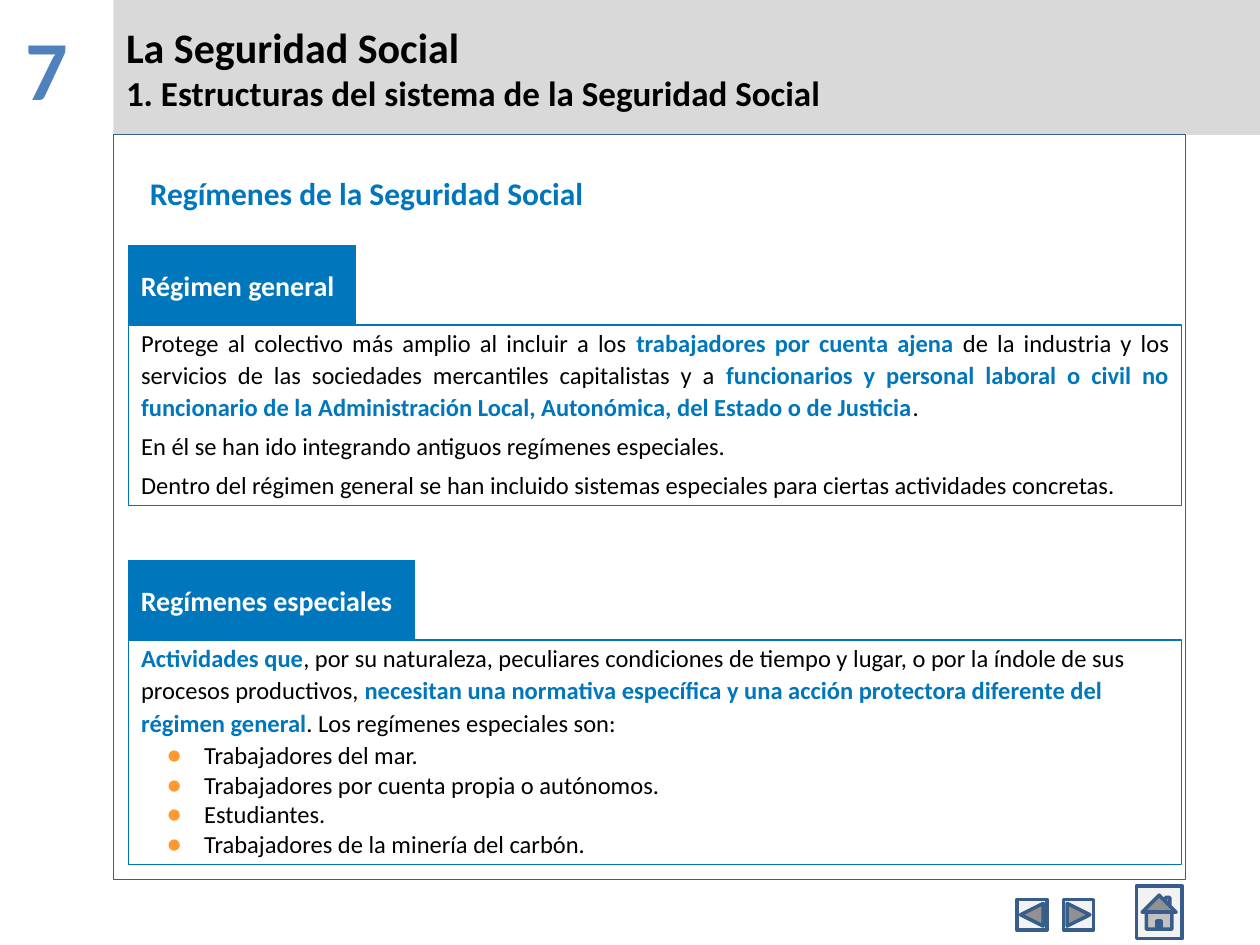
from dataclasses import dataclass

from lxml import etree
from pptx import Presentation
from pptx import util as u
from pptx.dml.color import RGBColor
from pptx.enum import shapes, text
from pptx.oxml import ns


@dataclass(frozen=True)
class Theme:
    font: str = "Calibri"
    black: str = "000000"
    white: str = "FFFFFF"
    blue: str = "0077BD"
    number: str = "4F81BD"
    band: str = "D9D9D9"
    outline: str = "385D8A"
    button: str = "F2F2F2"
    bullet: str = "FF9933"
    number_size: int = 48
    title_size: int = 24
    subtitle_size: int = 20
    heading_size: int = 18
    tab_size: int = 16
    body_size: int = 14


THEME = Theme()
TWO_CONTENT = 3
TAB_HEIGHT = 0.63

# Each paragraph is a list of (wording, highlighted) spans
GENERAL = [
    [("Protege al colectivo más amplio al incluir a los ", False),
     ("trabajadores por cuenta ajena", True),
     (" de la industria y los servicios de las sociedades mercantiles capitalistas y a ", False),
     ("funcionarios y personal laboral o civil no funcionario de la Administración Local, "
      "Autonómica, del Estado o de Justicia", True),
     (".", False)],
    [("En él se han ido integrando antiguos regímenes especiales.", False)],
    [("Dentro del régimen general se han incluido sistemas especiales "
      "para ciertas actividades concretas.", False)],
]
SPECIAL = [
    [("Actividades que", True),
     (", por su naturaleza, peculiares condiciones de tiempo y lugar, "
      "o por la índole de sus procesos productivos, ", False),
     ("necesitan una normativa específica y una acción protectora diferente "
      "del régimen general", True),
     (". Los regímenes especiales son:", False)],
]
SPECIAL_LIST = [
    "Trabajadores del mar.",
    "Trabajadores por cuenta propia o autónomos.",
    "Estudiantes.",
    "Trabajadores de la minería del carbón.",
]


def place(shape, box):
    shape.left, shape.top, shape.width, shape.height = map(u.Inches, box)


def paint(shape, fill=None, line=None, weight=0.75):
    if fill:
        shape.fill.solid()
        shape.fill.fore_color.rgb = RGBColor.from_string(fill)
    else:
        shape.fill.background()
    if line:
        shape.line.color.rgb = RGBColor.from_string(line)
        shape.line.width = u.Pt(weight)
    else:
        shape.line.fill.background()


def add_preset(page, kind, box, **colours):
    shape = page.shapes.add_shape(kind, *map(u.Inches, box))
    shape.shadow.inherit = False
    paint(shape, **colours)
    return shape


def set_font(font, size, colour, bold=False):
    font.name, font.size, font.bold = THEME.font, u.Pt(size), bold
    font.color.rgb = RGBColor.from_string(colour)


def set_bullet(para, char=None, indent=0, hanging=0):
    props = para._p.get_or_add_pPr()
    props.set("marL", str(u.Inches(indent)))
    props.set("indent", str(-u.Inches(hanging)))
    if char is None:
        etree.SubElement(props, ns.qn("a:buNone"))
        return
    colour = etree.SubElement(props, ns.qn("a:buClr"))
    etree.SubElement(colour, ns.qn("a:srgbClr"), val=THEME.bullet)
    etree.SubElement(props, ns.qn("a:buSzPct"), val="130000")
    etree.SubElement(props, ns.qn("a:buFont"), typeface=THEME.font)
    etree.SubElement(props, ns.qn("a:buChar"), char=char)


def next_paragraph(frame, first):
    return frame.paragraphs[0] if first else frame.add_paragraph()


def write_line(frame, wording, size, colour, align=text.PP_ALIGN.LEFT):
    para = frame.paragraphs[0]
    para.text, para.alignment = wording, align
    set_font(para.font, size, colour, bold=True)


def add_label(page, box, wording, size, colour, align=text.PP_ALIGN.LEFT):
    frame = page.shapes.add_textbox(*map(u.Inches, box)).text_frame
    frame.word_wrap = True
    write_line(frame, wording, size, colour, align)


# Title band with the unit name and the section name
def fill_title(title, box):
    place(title, box)
    paint(title, fill=THEME.band)
    frame = title.text_frame
    frame.auto_size = text.MSO_AUTO_SIZE.NONE
    frame.vertical_anchor = text.MSO_ANCHOR.MIDDLE
    lines = [("La Seguridad Social", THEME.title_size),
             ("1. Estructuras del sistema de la Seguridad Social", THEME.subtitle_size)]
    for index, (wording, size) in enumerate(lines):
        para = next_paragraph(frame, index == 0)
        para.text, para.alignment = wording, text.PP_ALIGN.LEFT
        set_font(para.font, size, THEME.black, bold=True)


# Blue tab above an outlined panel of text
def fill_regime(page, body, box, name, tab_width, paragraphs, items=(),
                align=text.PP_ALIGN.LEFT):
    left, top, width, height = box
    tab = add_preset(page, shapes.MSO_SHAPE.RECTANGLE, (left, top, tab_width, TAB_HEIGHT),
                     fill=THEME.blue, line=THEME.blue)
    tab.text_frame.word_wrap = False
    tab.text_frame.vertical_anchor = text.MSO_ANCHOR.MIDDLE
    write_line(tab.text_frame, name, THEME.tab_size, THEME.white)

    place(body, (left, top + TAB_HEIGHT, width, height - TAB_HEIGHT))
    paint(body, line=THEME.blue)
    frame = body.text_frame
    frame.auto_size = text.MSO_AUTO_SIZE.NONE
    frame.vertical_anchor = text.MSO_ANCHOR.MIDDLE
    frame.margin_top = 0
    for index, spans in enumerate(paragraphs):
        para = next_paragraph(frame, index == 0)
        set_bullet(para)
        para.alignment, para.line_spacing = align, 1.1
        para.space_before = u.Pt(1.8 if index else 0)
        para.space_after = u.Pt(1.8)
        set_font(para.font, THEME.body_size, THEME.black)
        for wording, highlighted in spans:
            span = para.add_run()
            span.text = wording
            if highlighted:
                set_font(span.font, THEME.body_size, THEME.blue, bold=True)
    for item in items:
        para = frame.add_paragraph()
        para.text, para.level = item, 1
        set_bullet(para, "•", indent=0.5, hanging=0.3)
        para.space_before = u.Pt(0)
        set_font(para.font, THEME.body_size, THEME.black)


# Navigation buttons in the lower right corner
def add_navigation(page, box):
    left, top, width, height = box
    kinds = shapes.MSO_SHAPE
    home_width, side = 0.36, 0.24
    buttons = [
        (kinds.ACTION_BUTTON_BACK_OR_PREVIOUS, (left, top + 0.11, side, side)),
        (kinds.ACTION_BUTTON_FORWARD_OR_NEXT, (left + 0.37, top + 0.11, side, side)),
        (kinds.ACTION_BUTTON_HOME, (left + width - home_width, top, home_width, height)),
    ]
    for kind, spot in buttons:
        add_preset(page, kind, spot, fill=THEME.button, line=THEME.outline, weight=2)


def main():
    deck = Presentation()
    deck.slide_width, deck.slide_height = u.Inches(10), u.Inches(7.5)
    page = deck.slides.add_slide(deck.slide_layouts[TWO_CONTENT])
    title, general, special = page.placeholders

    add_label(page, (0, 0.08, 0.74, 0.9), "7", THEME.number_size, THEME.number,
              text.PP_ALIGN.CENTER)
    fill_title(title, (0.9, 0, 9.1, 1.07))
    add_preset(page, shapes.MSO_SHAPE.RECTANGLE, (0.9, 1.07, 8.51, 5.91), line=THEME.outline)
    add_label(page, (1.09, 1.33, 6.02, 0.4), "Regímenes de la Seguridad Social",
              THEME.heading_size, THEME.blue)
    fill_regime(page, general, (1.02, 1.95, 8.36, 2.06), "Régimen general", 1.8, GENERAL,
                align=text.PP_ALIGN.JUSTIFY)
    fill_regime(page, special, (1.02, 4.45, 8.36, 2.41), "Regímenes especiales", 2.27,
                SPECIAL, SPECIAL_LIST)
    add_navigation(page, (8.07, 7.03, 1.31, 0.42))
    deck.save("out.pptx")


if __name__ == "__main__":
    main()
